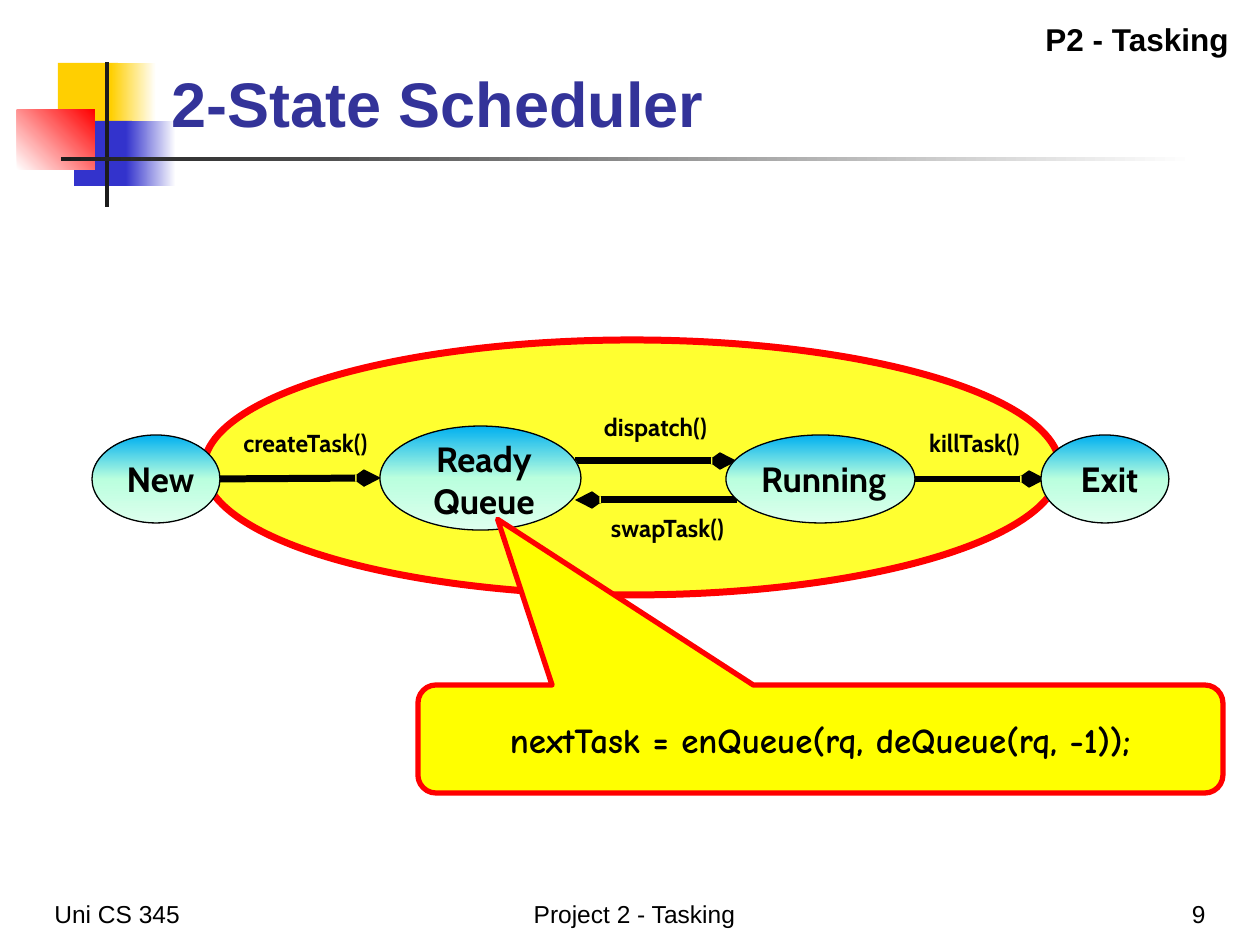
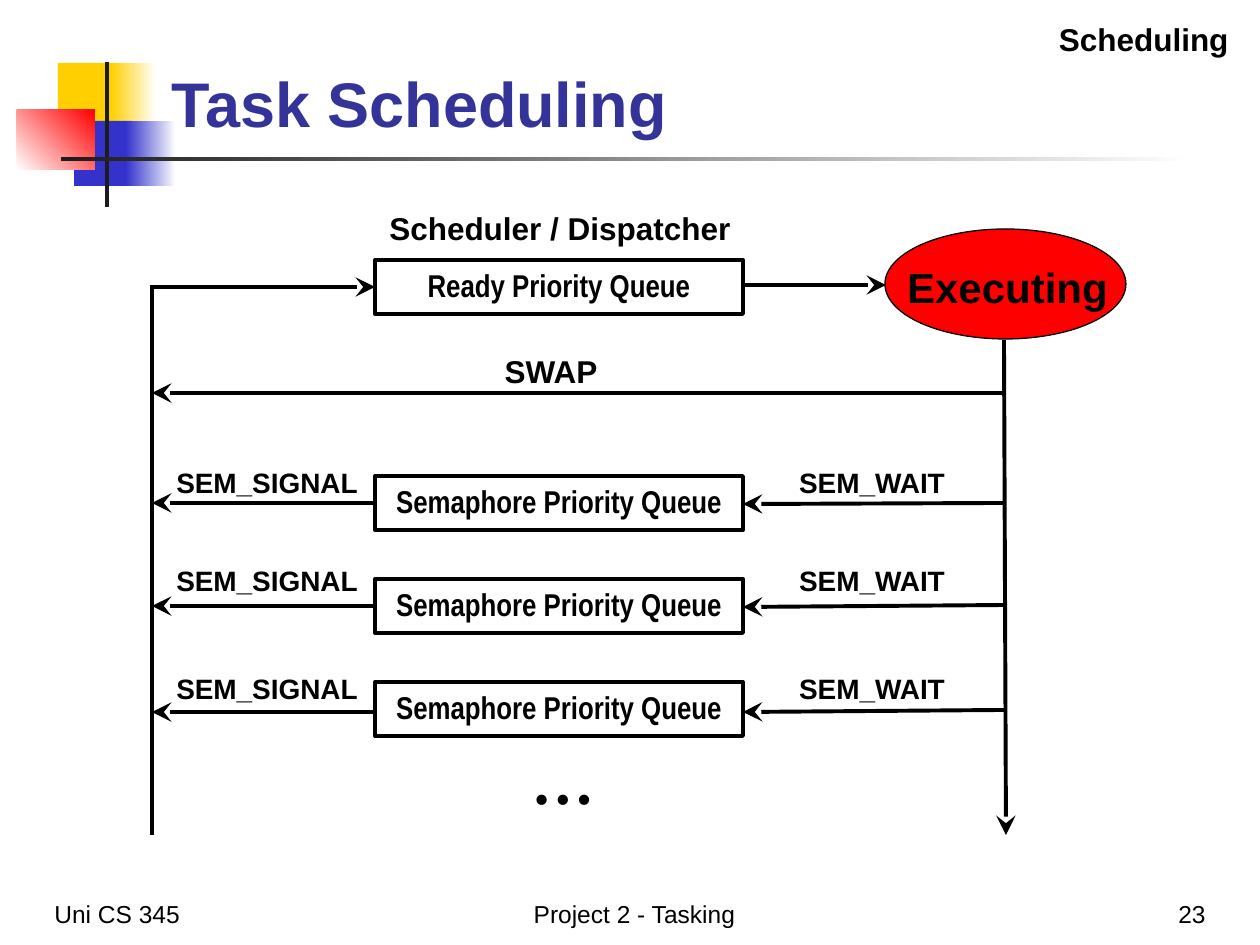
from dataclasses import dataclass

from lxml.etree import SubElement
from pptx import Presentation
from pptx.dml.color import RGBColor
from pptx.enum.shapes import MSO_CONNECTOR as Connector, MSO_SHAPE as Preset
from pptx.enum.text import MSO_ANCHOR as Anchor, PP_ALIGN as Align
from pptx.oxml import parse_xml
from pptx.oxml.ns import nsdecls, qn
from pptx.util import Emu, Pt

PIXEL = 914400 / 126
COLORS = {
    "black": "000000", "white": "FFFFFF", "ink": "1C1C1C", "title": "333399",
    "gold": "FFCF01", "blue": "3333CC", "red": "FF0000", "yellow": "FFFF00",
    "sky": "00B0F0", "mint": "BAFFDE", "pale": "DDFFEE",
}


def px(value: float) -> Emu:
    return Emu(round(value * PIXEL))


def rgb(name: str) -> RGBColor:
    return RGBColor.from_string(COLORS[name])


@dataclass(frozen=True)
class Box:
    left: int
    top: int
    width: int
    height: int

    def emu(self) -> tuple:
        return px(self.left), px(self.top), px(self.width), px(self.height)


@dataclass(frozen=True)
class Style:
    size: int
    font: str = "Arial"
    bold: bool = True
    color: str = "black"
    align: Align = Align.CENTER
    anchor: Anchor = Anchor.TOP


@dataclass(frozen=True)
class Fade:
    """A linear gradient of evenly spaced colours."""
    colors: tuple
    angle: int = 0


@dataclass(frozen=True)
class Line:
    color: str
    width: float


@dataclass(frozen=True)
class Arrow:
    width: float
    head: str
    head_width: str
    head_length: str


@dataclass(frozen=True)
class State:
    text: str
    ellipse: Box
    label: Box


@dataclass(frozen=True)
class SemaphoreRow:
    label_top: int
    signal_y: int
    wait_from_y: int
    wait_to_y: int


# Shared styles
TITLE = Style(36, color="title", align=Align.LEFT, anchor=Anchor.BOTTOM)
TOPIC = Style(18, align=Align.RIGHT)
HEADING = Style(18)
QUEUE = Style(18, "Arial Narrow")
SEMAPHORE = Style(16)
STATE = Style(20, "Cabin")
CALL = Style(14, "Cabin")
CODE = Style(20, "Comic Neue", anchor=Anchor.MIDDLE)

THIN, BORDER = Line("black", 0.75), Line("black", 2.25)
THICK_ARROW = Arrow(4, "arrow", "sm", "med")
FLOW_ARROW = Arrow(2.25, "stealth", "lg", "lg")
STATE_FADE = Fade(("sky", "mint", "pale"), 90)

DECORATION = [
    (Box(58, 63, 60, 66), "gold"),
    (Box(111, 63, 45, 66), Fade(("gold", "white"))),
    (Box(74, 121, 58, 65), "blue"),
    (Box(126, 121, 50, 65), Fade(("blue", "white"))),
    (Box(17, 110, 78, 60), Fade(("white", "red"), 315)),
    (Box(105, 62, 4, 145), "ink"),
    (Box(61, 157, 1134, 4), Fade(("ink", "white"))),
]
FOOTERS = [(Box(42, 872, 262, 63), Align.LEFT),
           (Box(296, 872, 677, 63), Align.CENTER),
           (Box(956, 872, 262, 63), Align.RIGHT)]


# Drawing functions
def write_text(shape, text: str, style: Style) -> None:
    frame = shape.text_frame
    frame.word_wrap = True
    frame.vertical_anchor = style.anchor
    for index, line in enumerate(text.split("\n")):
        paragraph = frame.add_paragraph() if index else frame.paragraphs[0]
        paragraph.alignment = style.align
        run = paragraph.add_run()
        run.text = line
        run.font.name = style.font
        run.font.size = Pt(style.size)
        run.font.bold = style.bold
        run.font.color.rgb = rgb(style.color)


def add_text(shapes, box: Box, text: str, style: Style) -> None:
    write_text(shapes.add_textbox(*box.emu()), text, style)


def apply_fade(shape, fade: Fade) -> None:
    step = 100000 // (len(fade.colors) - 1)
    stops = "".join(
        f'<a:gs pos="{index * step}"><a:srgbClr val="{COLORS[name]}"/></a:gs>'
        for index, name in enumerate(fade.colors))
    gradient = parse_xml(
        f'<a:gradFill {nsdecls("a")} rotWithShape="1"><a:gsLst>{stops}</a:gsLst>'
        f'<a:lin ang="{fade.angle * 60000}" scaled="1"/></a:gradFill>')
    shape._element.spPr.find(qn("a:prstGeom")).addnext(gradient)


def add_shape(shapes, preset: Preset, box: Box, fill: str | Fade | None = None,
              line: Line | None = None, opacity: int = 100):
    shape = shapes.add_shape(preset, *box.emu())
    shape.shadow.inherit = False
    if isinstance(fill, Fade):
        apply_fade(shape, fill)
    elif fill:
        shape.fill.solid()
        shape.fill.fore_color.rgb = rgb(fill)
        if opacity < 100:
            color = shape._element.spPr.find(qn("a:solidFill"))[0]
            SubElement(color, qn("a:alpha"), val=str(opacity * 1000))
    else:
        shape.fill.background()
    if line:
        shape.line.color.rgb = rgb(line.color)
        shape.line.width = Pt(line.width)
    else:
        shape.line.fill.background()
    return shape


def add_line(shapes, start: tuple[int, int], end: tuple[int, int],
             arrow: Arrow, pointed: bool = True) -> None:
    connector = shapes.add_connector(
        Connector.STRAIGHT, px(start[0]), px(start[1]), px(end[0]), px(end[1]))
    connector.line.color.rgb = rgb("black")
    connector.line.width = Pt(arrow.width)
    if pointed:
        SubElement(connector.line._get_or_add_ln(), qn("a:tailEnd"),
                   type=arrow.head, w=arrow.head_width, len=arrow.head_length)
    SubElement(connector._element.spPr, qn("a:effectLst"))


def add_state(shapes, state: State) -> None:
    group = shapes.add_group_shape().shapes
    add_shape(group, Preset.OVAL, state.ellipse, STATE_FADE, THIN)
    add_text(group, state.label, state.text, STATE)


def add_slide(presentation, title: str, topic: str, number: int):
    slide = presentation.slides.add_slide(presentation.slide_layouts[6])
    shapes = slide.shapes
    for box, fill in DECORATION:
        add_shape(shapes, Preset.RECTANGLE, box, fill)
    texts = ("Uni CS 345", "Project 2 - Tasking", str(number))
    for (box, align), text in zip(FOOTERS, texts):
        style = Style(14, bold=False, align=align, anchor=Anchor.BOTTOM)
        add_text(shapes, box, text, style)
    add_text(shapes, Box(159, 26, 1074, 120), title, TITLE)
    add_text(shapes, Box(753, 14, 488, 50), topic, TOPIC)
    return slide


# Slide: states of a task and the calls between them
def build_state_slide(presentation) -> None:
    shapes = add_slide(presentation, "2-State Scheduler", "P2 - Tasking", 9).shapes
    add_shape(shapes, Preset.OVAL, Box(204, 340, 856, 255), "yellow",
              Line("red", 4), opacity=81)

    for start, end in [((204, 479), (381, 478)), ((910, 479), (1046, 479)),
                       ((575, 461), (737, 461)), ((737, 500), (575, 500))]:
        add_line(shapes, start, end, THICK_ARROW)
    for text, left, top in [("createTask()", 204, 422), ("dispatch()", 554, 406),
                            ("swapTask()", 566, 507), ("killTask()", 873, 422)]:
        add_text(shapes, Box(left, top, 203, 43), text, CALL)

    for state in [
        State("New", Box(92, 435, 128, 88), Box(93, 451, 135, 55)),
        State("Ready\nQueue", Box(380, 426, 201, 104), Box(379, 431, 210, 97)),
        State("Running", Box(726, 435, 189, 88), Box(736, 451, 175, 55)),
        State("Exit", Box(1041, 435, 128, 88), Box(1042, 451, 135, 55)),
    ]:
        add_state(shapes, state)

    callout = add_shape(shapes, Preset.ROUNDED_RECTANGULAR_CALLOUT,
                        Box(418, 685, 805, 108), "yellow", Line("red", 3))
    for index, value in enumerate((-0.401, -2.035, 0.167)):
        callout.adjustments[index] = value
    frame = callout.text_frame
    frame.margin_left = frame.margin_right = frame.margin_top = frame.margin_bottom = 0
    write_text(callout, "nextTask = enQueue(rq, deQueue(rq, -1));", CODE)


# Slide: queues between the executing task and the scheduler
def build_queue_slide(presentation) -> None:
    shapes = add_slide(presentation, "Task Scheduling", "Scheduling", 23).shapes
    left_rail, right_rail = 152, 1004
    queue_left, queue_width, queue_height = 375, 368, 54
    queue_right = queue_left + queue_width

    def add_queue(text: str, top: int) -> None:
        box = Box(queue_left, top, queue_width, queue_height)
        queue = add_shape(shapes, Preset.RECTANGLE, box, line=BORDER)
        write_text(queue, text, QUEUE)

    add_text(shapes, Box(368, 203, 384, 50), "Scheduler / Dispatcher", HEADING)
    add_queue("Ready Priority Queue", 260)
    add_text(shapes, Box(457, 346, 188, 50), "SWAP", HEADING)

    # Rails and the main loop
    add_line(shapes, (left_rail, 285), (left_rail, 835), FLOW_ARROW, pointed=False)
    add_line(shapes, (right_rail, 340), (right_rail + 2, 835), FLOW_ARROW)
    add_line(shapes, (left_rail, 287), (queue_left, 287), FLOW_ARROW)
    add_line(shapes, (queue_right, 285), (886, 285), FLOW_ARROW)
    add_line(shapes, (right_rail, 393), (left_rail, 393), FLOW_ARROW)

    # Semaphore rows
    rows = [SemaphoreRow(459, 503, 503, 504), SemaphoreRow(557, 606, 605, 607),
            SemaphoreRow(665, 712, 710, 712)]
    for index, row in enumerate(rows):
        add_queue("Semaphore Priority Queue", 476 + 103 * index)
        add_line(shapes, (queue_left, row.signal_y), (left_rail, row.signal_y),
                 FLOW_ARROW)
        add_line(shapes, (right_rail, row.wait_from_y),
                 (queue_right, row.wait_to_y), FLOW_ARROW)
        for text, left in (("SEM_SIGNAL", 151), ("SEM_WAIT", 756)):
            add_text(shapes, Box(left, row.label_top, 232, 47), text, SEMAPHORE)
    add_text(shapes, Box(425, 735, 276, 88), "…", Style(36, "Times New Roman"))

    # Executing task
    add_shape(shapes, Preset.OVAL, Box(885, 229, 241, 110), "red", THIN)
    add_text(shapes, Box(889, 255, 237, 63), "Executing", Style(24))


presentation = Presentation()
presentation.slide_width, presentation.slide_height = px(1260), px(945)
build_state_slide(presentation)
build_queue_slide(presentation)
presentation.save("out.pptx")
